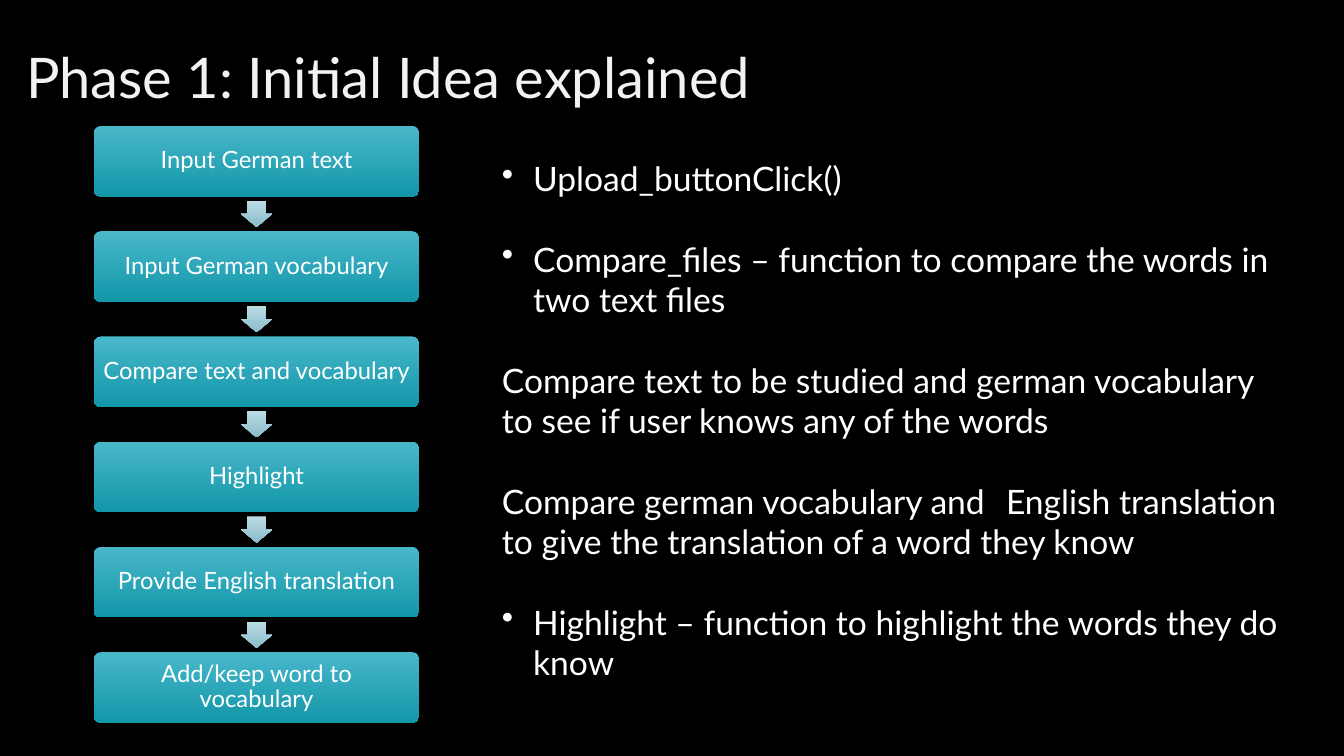
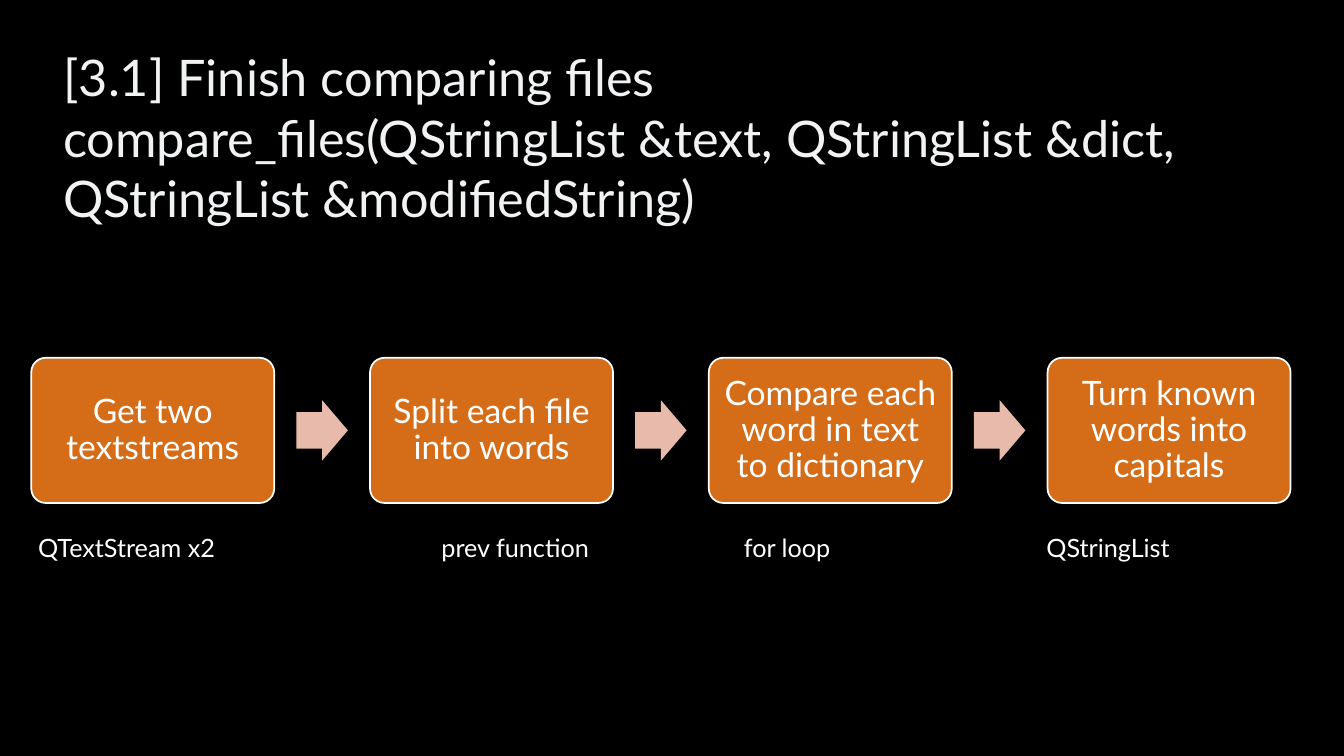
from dataclasses import dataclass

from lxml.etree import SubElement
from pptx import Presentation
from pptx.dml.color import RGBColor
from pptx.enum.shapes import MSO_SHAPE
from pptx.enum.text import MSO_ANCHOR, PP_ALIGN
from pptx.oxml.ns import qn
from pptx.util import Inches, Pt


@dataclass(frozen=True)
class Theme:
    font: str = "Lato"
    background: str = "000000"
    title: str = "F0F2F3"
    text: str = "FFFFFF"
    teal: tuple = ("49B7CA", "1297A9")
    pale_teal: tuple = ("BBDCE4", "8ABCC9")
    orange: tuple = ("D56C17",)
    pale_orange: tuple = ("E7BAAC",)
    title_size: int = 40
    long_title_size: int = 36
    body_size: int = 24
    caption_size: int = 18
    small_step_size: int = 17


@dataclass(frozen=True)
class Box:
    left: float
    top: float
    width: float
    height: float

    def lengths(self):
        return [Inches(value) for value in (self.left, self.top, self.width, self.height)]


@dataclass(frozen=True)
class FlowStyle:
    step_fill: tuple
    arrow_fill: tuple
    step_length: float
    arrow_length: float
    arrow_breadth: float
    text_size: int
    inset: float
    outline: float = 0


THEME = Theme()
INDENT = 0.31
VERTICAL_FLOW = FlowStyle(THEME.teal, THEME.pale_teal, 0.7, 0.26, 0.31,
                          THEME.small_step_size, 0.07)
HORIZONTAL_FLOW = FlowStyle(THEME.orange, THEME.pale_orange, 2.41, 0.51, 0.6,
                            THEME.body_size, 0.1, 1.25)


def add_bullet(paragraph):
    properties = paragraph._p.get_or_add_pPr()
    properties.set("marL", str(Inches(INDENT)))
    properties.set("indent", str(-Inches(INDENT)))
    SubElement(properties, qn("a:buChar")).set("char", "•")


def add_tab_stops(paragraph, stops):
    tab_list = SubElement(paragraph._p.get_or_add_pPr(), qn("a:tabLst"))
    for stop in stops:
        tab = SubElement(tab_list, qn("a:tab"))
        tab.set("pos", str(Inches(stop)))
        tab.set("algn", "l")


def write_text(paragraph, text, size=THEME.body_size, color=THEME.text,
               align=PP_ALIGN.LEFT, line_spacing=None, space_after=0,
               bullet=False, tab_stops=()):
    paragraph.text = text
    paragraph.alignment = align
    paragraph.space_after = Pt(space_after)
    if line_spacing:
        paragraph.line_spacing = line_spacing
    if bullet:
        add_bullet(paragraph)
    if tab_stops:
        add_tab_stops(paragraph, tab_stops)
    for run in paragraph.runs:
        run.font.name = THEME.font
        run.font.size = Pt(size)
        run.font.color.rgb = RGBColor.from_string(color)


def add_text_frame(slide, box, anchor=MSO_ANCHOR.TOP):
    frame = slide.shapes.add_textbox(*box.lengths()).text_frame
    frame.word_wrap = True
    frame.vertical_anchor = anchor
    return frame


def add_title(slide, box, text, size, anchor):
    frame = add_text_frame(slide, box, anchor)
    write_text(frame.paragraphs[0], text, size=size, color=THEME.title)


def add_filled_shape(slide, kind, box, colors, adjustments, outline=0):
    shape = slide.shapes.add_shape(kind, *box.lengths())
    shape.shadow.inherit = False
    for index, value in enumerate(adjustments):
        shape.adjustments[index] = value
    if len(colors) > 1:
        shape.fill.gradient()
        shape.fill.gradient_angle = 270
        for stop, color in zip(shape.fill.gradient_stops, colors):
            stop.color.rgb = RGBColor.from_string(color)
    else:
        shape.fill.solid()
        shape.fill.fore_color.rgb = RGBColor.from_string(colors[0])
    if outline:
        shape.line.color.rgb = RGBColor.from_string(THEME.text)
        shape.line.width = Pt(outline)
    else:
        shape.line.fill.background()
    return shape


def add_step(slide, box, text, style):
    shape = add_filled_shape(slide, MSO_SHAPE.ROUNDED_RECTANGLE, box,
                             style.step_fill, (0.1,), style.outline)
    frame = shape.text_frame
    frame.word_wrap = True
    frame.vertical_anchor = MSO_ANCHOR.MIDDLE
    frame.margin_left = frame.margin_right = Inches(style.inset)
    frame.margin_top = frame.margin_bottom = Inches(style.inset)
    write_text(frame.paragraphs[0], text, size=style.text_size,
               align=PP_ALIGN.CENTER, line_spacing=0.9)


def add_flow(slide, box, steps, style, vertical=False):
    total, breadth = (box.height, box.width) if vertical else (box.width, box.height)
    arrow_kind = MSO_SHAPE.DOWN_ARROW if vertical else MSO_SHAPE.RIGHT_ARROW
    pitch = (total - style.step_length) / (len(steps) - 1)
    arrow_offset = (style.step_length + pitch - style.arrow_length) / 2

    def part(along, length, thickness):
        across = (breadth - thickness) / 2
        if vertical:
            return Box(box.left + across, box.top + along, thickness, length)
        return Box(box.left + along, box.top + across, length, thickness)

    for index, text in enumerate(steps):
        start = index * pitch
        add_step(slide, part(start, style.step_length, breadth), text, style)
        if index < len(steps) - 1:
            arrow_box = part(start + arrow_offset, style.arrow_length, style.arrow_breadth)
            add_filled_shape(slide, arrow_kind, arrow_box, style.arrow_fill, (0.6, 0.5))


def add_body(slide, box, items):
    frame = add_text_frame(slide, box)
    for index, (text, bullet) in enumerate(items):
        paragraph = frame.add_paragraph() if index else frame.paragraphs[0]
        write_text(paragraph, text, bullet=bullet, space_after=THEME.body_size * 1.2)


def add_captions(slide, box, captions, tab_stops):
    frame = add_text_frame(slide, box)
    write_text(frame.paragraphs[0], "\t".join(captions),
               size=THEME.caption_size, tab_stops=tab_stops)


def build_idea_slide(slide):
    add_title(slide, Box(0.16, 0.11, 12.88, 1.03), "Phase 1: Initial Idea explained",
              THEME.title_size, MSO_ANCHOR.BOTTOM)
    add_body(slide, Box(4.88, 1.52, 7.96, 5.96), [
        ("Upload_buttonClick()", True),
        ("Compare_files – function to compare the words in two text files", True),
        ("Compare text to be studied and german vocabulary to see if user knows "
         "any of the words", False),
        ("Compare german vocabulary and \tEnglish translation to give the "
         "translation of a word they know", False),
        ("Highlight – function to highlight the words they do know", True),
    ])
    steps = ["Input German text", "Input German vocabulary", "Compare text and vocabulary",
             "Highlight", "Provide English translation", "Add/keep word to vocabulary"]
    add_flow(slide, Box(0.93, 1.25, 3.23, 5.92), steps, VERTICAL_FLOW, vertical=True)


def build_comparison_slide(slide):
    title = ("[3.1] Finish comparing files\ncompare_files(QStringList &text, "
             "QStringList &dict, QStringList &modifiedString)")
    add_title(slide, Box(0.53, 0.41, 12.28, 1.9), title,
              THEME.long_title_size, MSO_ANCHOR.MIDDLE)
    steps = ["Get two textstreams", "Split each file into words",
             "Compare each word in text to dictionary", "Turn known words into capitals"]
    add_flow(slide, Box(0.31, 3.55, 12.49, 1.44), steps, HORIZONTAL_FLOW)
    captions = ["QTextStream x2", "prev function", "for loop", "QStringList"]
    add_captions(slide, Box(0.28, 5.23, 12.53, 0.4), captions, (4, 7, 10))


def main():
    presentation = Presentation()
    presentation.slide_width = Inches(13.33)
    presentation.slide_height = Inches(7.5)
    background = presentation.slide_master.background.fill
    background.solid()
    background.fore_color.rgb = RGBColor.from_string(THEME.background)
    for build in (build_idea_slide, build_comparison_slide):
        build(presentation.slides.add_slide(presentation.slide_layouts[6]))
    presentation.save("out.pptx")


if __name__ == "__main__":
    main()
